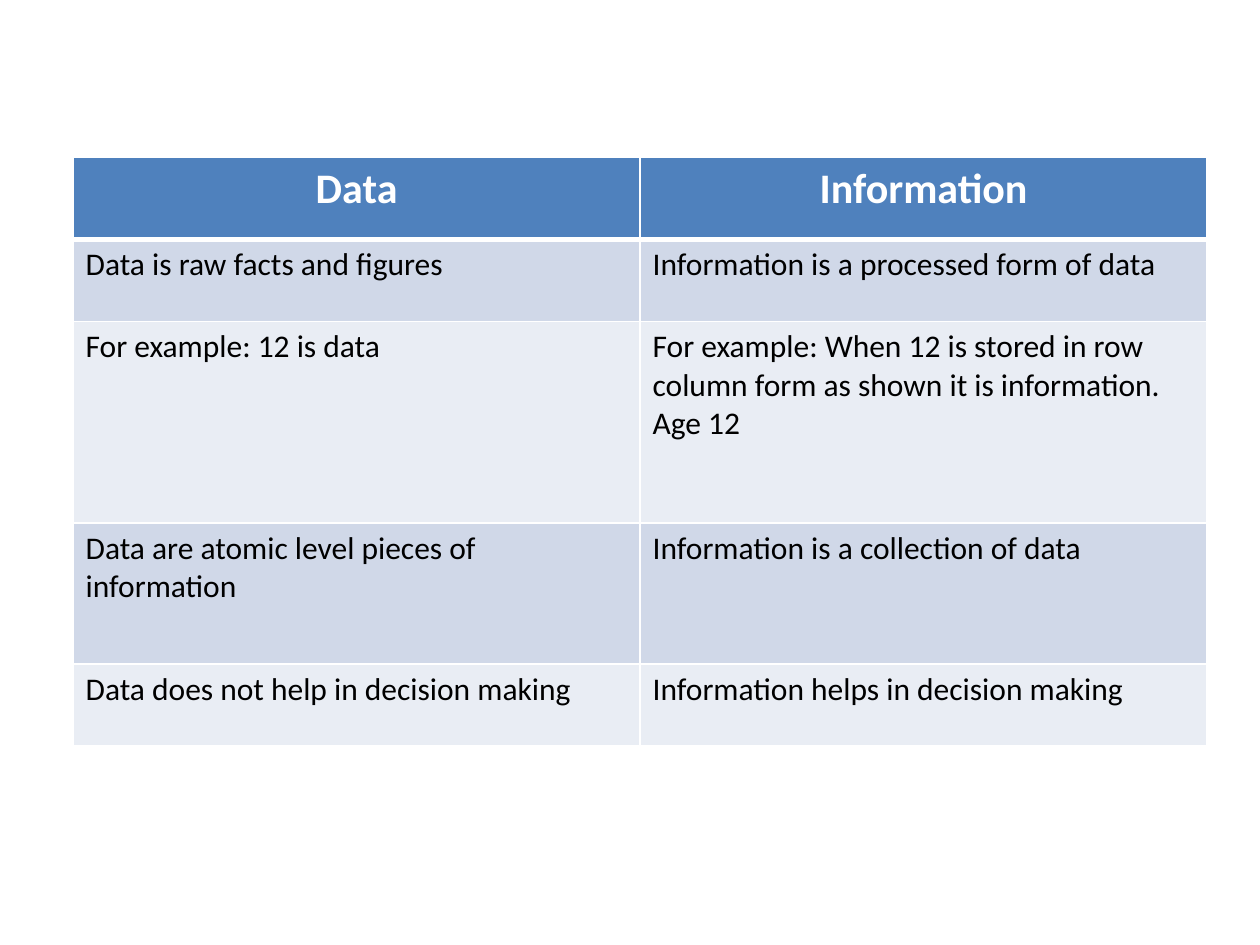
from dataclasses import dataclass

from lxml import etree
from pptx import Presentation
from pptx.dml.color import RGBColor
from pptx.enum.text import PP_ALIGN
from pptx.oxml.ns import qn
from pptx.util import Inches, Pt

LEFT, CENTER = PP_ALIGN.LEFT, PP_ALIGN.CENTER
BLANK_LAYOUT = 6
FONT = "Calibri"
WHITE = "FFFFFF"
TABLE_LEFT, TABLE_TOP, COLUMN_WIDTH = 0.58, 1.25, 4.5


@dataclass(frozen=True)
class RowStyle:
    fill: str
    color: str
    size: int
    bold: bool
    align: PP_ALIGN
    top_border: int
    bottom_border: int


@dataclass(frozen=True)
class ComparisonRow:
    height: float
    data: str
    information: str
    style: RowStyle


HEADER = RowStyle("4F81BD", WHITE, 24, True, CENTER, 1, 3)
FIRST = RowStyle("D0D8E8", "000000", 18, False, LEFT, 3, 1)
DARK = RowStyle("D0D8E8", "000000", 18, False, LEFT, 1, 1)
LIGHT = RowStyle("E9EDF4", "000000", 18, False, LEFT, 1, 1)

ROWS = [
    ComparisonRow(0.65, "Data", "Information", HEADER),
    ComparisonRow(0.65, "Data is raw facts and figures",
                  "Information is a processed form of data", FIRST),
    ComparisonRow(1.6, "For example: 12 is data",
                  "For example: When 12 is stored in row column form "
                  "as shown it is information.\nAge 12", LIGHT),
    ComparisonRow(1.12, "Data are atomic level pieces of information",
                  "Information is a collection of data", DARK),
    ComparisonRow(0.65, "Data does not help in decision making",
                  "Information helps in decision making", LIGHT),
]


def rgb(value: str) -> RGBColor:
    return RGBColor.from_string(value)


def set_borders(cell, style: RowStyle) -> None:
    properties = cell._tc.get_or_add_tcPr()
    widths = {"lnL": 1, "lnR": 1, "lnT": style.top_border, "lnB": style.bottom_border}
    for index, (side, width) in enumerate(widths.items()):
        line = etree.Element(qn(f"a:{side}"), w=str(Pt(width)))
        fill = etree.SubElement(line, qn("a:solidFill"))
        etree.SubElement(fill, qn("a:srgbClr"), val=WHITE)
        properties.insert(index, line)


def fill_cell(cell, text: str, style: RowStyle) -> None:
    cell.fill.solid()
    cell.fill.fore_color.rgb = rgb(style.fill)
    set_borders(cell, style)
    cell.text = text
    for para in cell.text_frame.paragraphs:
        para.alignment = style.align
        para.font.name = FONT
        para.font.size = Pt(style.size)
        para.font.bold = style.bold
        para.font.color.rgb = rgb(style.color)


def add_comparison(page, rows: list[ComparisonRow]) -> None:
    height = sum(row.height for row in rows)
    table = page.shapes.add_table(
        len(rows), 2, Inches(TABLE_LEFT), Inches(TABLE_TOP),
        Inches(2 * COLUMN_WIDTH), Inches(height)).table
    for column in table.columns:
        column.width = Inches(COLUMN_WIDTH)
    for index, row in enumerate(rows):
        table.rows[index].height = Inches(row.height)
        for column, text in enumerate((row.data, row.information)):
            fill_cell(table.cell(index, column), text, row.style)


deck = Presentation()
deck.slide_width, deck.slide_height = Inches(10), Inches(7.5)
page = deck.slides.add_slide(deck.slide_layouts[BLANK_LAYOUT])
add_comparison(page, ROWS)
deck.save("out.pptx")
